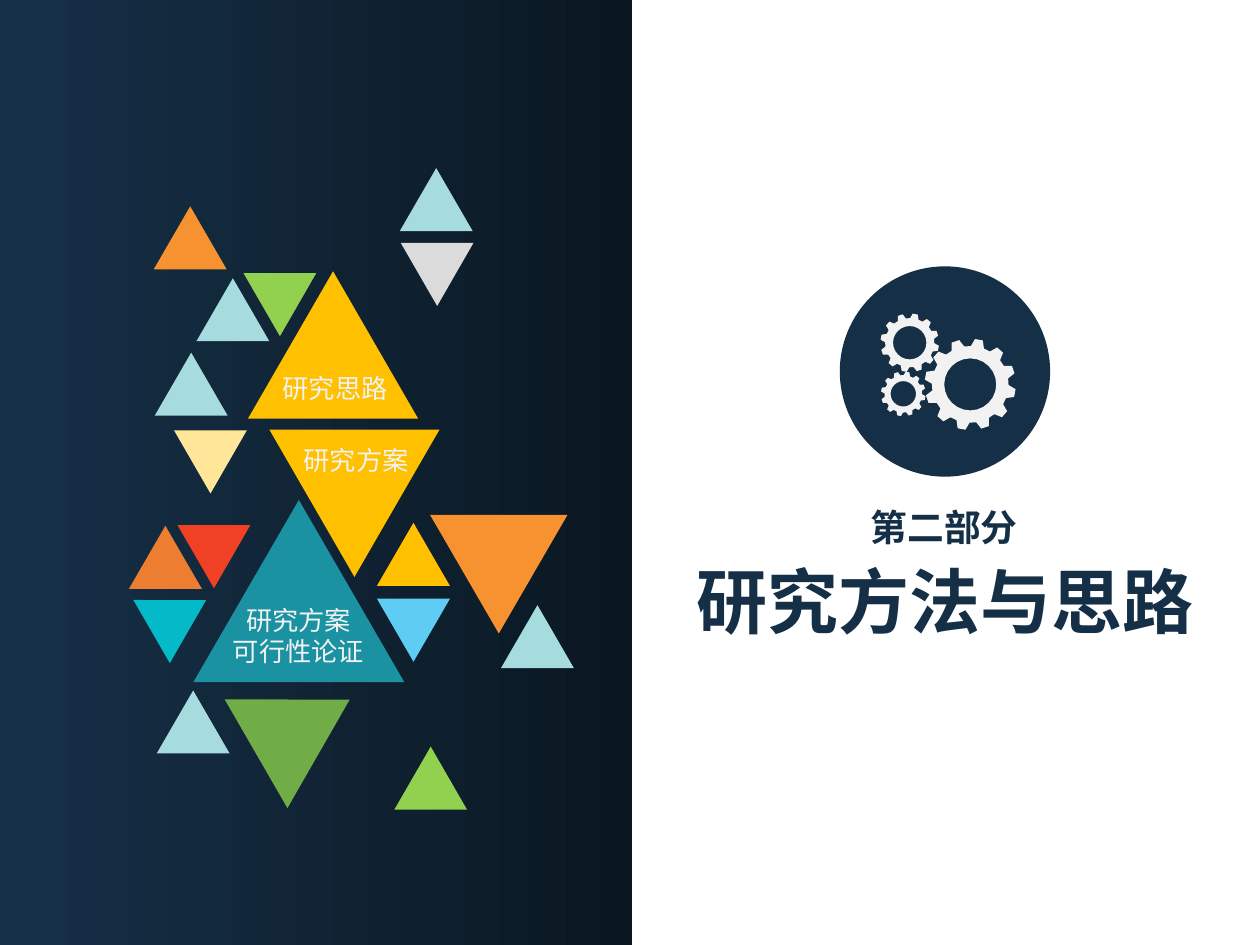
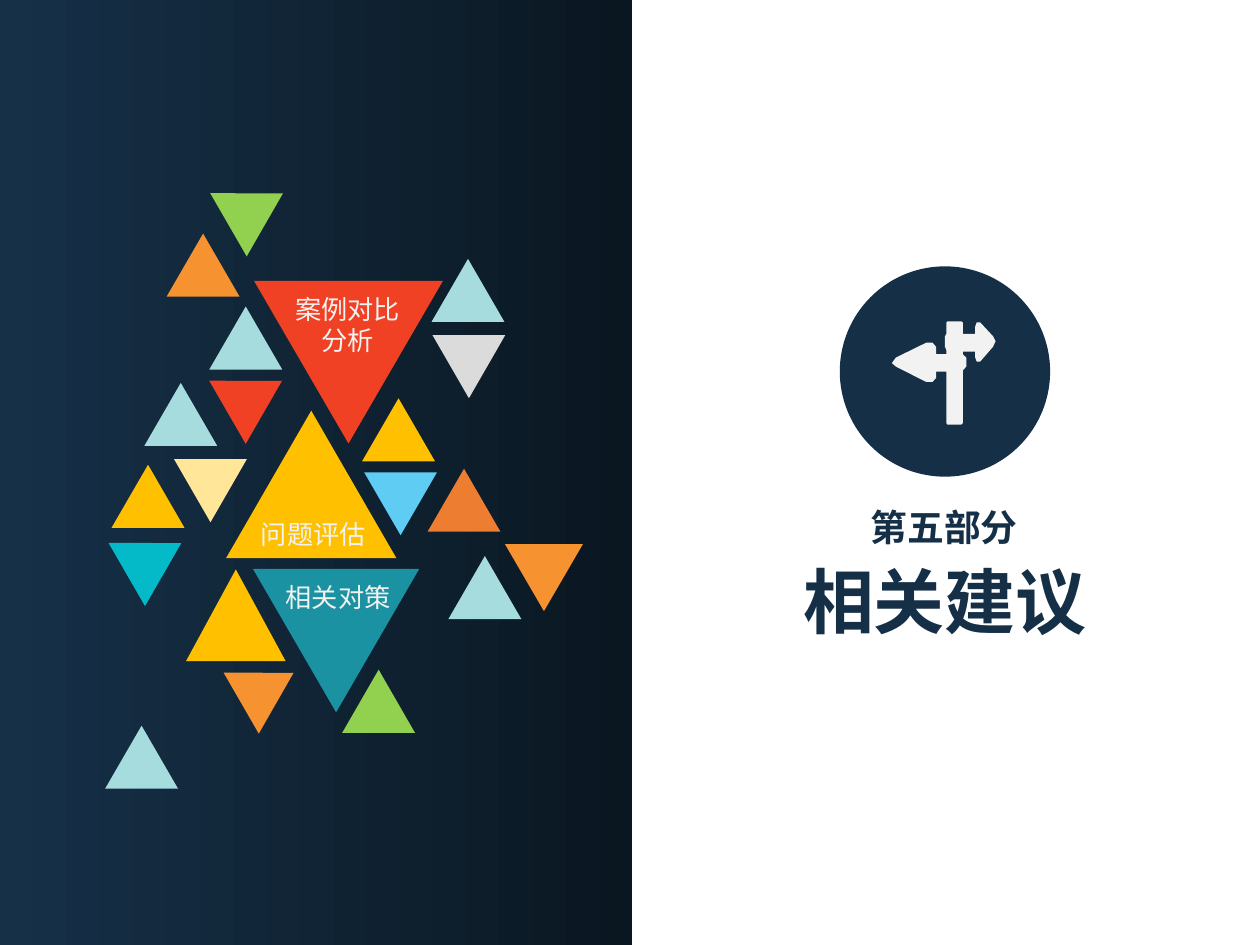
import math

import lxml.etree
import pptx
import pptx.dml.color
import pptx.enum.shapes
import pptx.enum.text
import pptx.oxml.ns
import pptx.util

Cm = pptx.util.Cm
Pt = pptx.util.Pt
RGB = pptx.dml.color.RGBColor.from_string
SHAPE = pptx.enum.shapes.MSO_SHAPE
ALIGN = pptx.enum.text.PP_ALIGN

FONT = "Noto Sans CJK SC"
COLOURS = {
    "night": "163048", "black": "0A1721", "navy": "152F47", "pale": "F2F2F2",
    "mist": "A7DCDE", "cream": "FFE699", "gold": "FFC000", "teal": "1A92A2",
    "rust": "ED7D31", "orange": "F69230", "lime": "92D050", "grey": "DBDBDB",
    "cyan": "05BAC8", "sky": "5ECCF3", "red": "F14124", "green": "70AD47",
}
TEXT_STYLES = {
    "title": {"size": Pt(40.5), "bold": True, "colour": "navy"},
    "part": {"size": Pt(21), "bold": True, "colour": "navy"},
    "label": {"size": Pt(15), "bold": False, "colour": "pale"},
}
FRAME_FORMAT = {
    "word_wrap": False,
    "auto_size": pptx.enum.text.MSO_AUTO_SIZE.SHAPE_TO_FIT_TEXT,
    "vertical_anchor": pptx.enum.text.MSO_ANCHOR.TOP,
}
SMALL = (1.47, 1.27)    # usual triangle, width and height in cm
MEDIUM = (3.43, 2.97)
ICON_CENTRE = (19.05, 7.49)
ICON_SIZE = 4.24


def paint(shape, colour):
    """Give a shape one flat colour, with no line and no shadow."""
    shape.shadow.inherit = False
    shape.line.fill.background()
    shape.fill.solid()
    shape.fill.fore_color.rgb = RGB(COLOURS[colour])


def write(slide, left, top, width, height, lines, style, alignment=ALIGN.CENTER):
    """Add lines of text in one of the shared styles."""
    box = slide.shapes.add_textbox(Cm(left), Cm(top), Cm(width), Cm(height))
    for attribute, value in FRAME_FORMAT.items():
        setattr(box.text_frame, attribute, value)
    look = TEXT_STYLES[style]
    for number, line in enumerate(lines):
        paragraph = box.text_frame.add_paragraph() if number else box.text_frame.paragraphs[0]
        paragraph.alignment = alignment
        paragraph.line_spacing = Pt(look["size"].pt * 1.18)
        run = paragraph.add_run()
        run.text = line
        for attribute, value in {"name": FONT, "size": look["size"], "bold": look["bold"]}.items():
            setattr(run.font, attribute, value)
        run.font.color.rgb = RGB(COLOURS[look["colour"]])
        east_asian = lxml.etree.SubElement(run._r.get_or_add_rPr(), pptx.oxml.ns.qn("a:ea"))
        east_asian.set("typeface", FONT)


# Gears: twelve teeth around a round hole (centre x, centre y, radius)
gear_outlines = []
tooth_profile = [(-10, 0.84), (-5, 1), (5, 1), (10, 0.84)]    # degrees, share of radius
rim_polar = [(11 + 30 * tooth + turn, reach)
             for tooth in range(12) for turn, reach in tooth_profile]
hole_polar = [(15 * step, 0.57) for step in range(24)]
for gear_x, gear_y, radius in [(19.56, 7.75, 0.92), (18.34, 6.91, 0.59), (18.21, 7.94, 0.45)]:
    gear_outlines.append([
        [(gear_x + radius * reach * math.cos(math.radians(angle)),
          gear_y + radius * reach * math.sin(math.radians(angle))) for angle, reach in polar]
        for polar in (rim_polar, hole_polar)])

# Signpost with one arm to each side
signpost = [
    (20.02, 6.78), (19.76, 6.5), (19.69, 6.5), (19.66, 6.58), (19.66, 6.73), (19.41, 6.73),
    (19.41, 6.5), (19.38, 6.48), (19.1, 6.48), (19.08, 6.5), (19.08, 6.73), (19.05, 6.78),
    (19.05, 6.99), (19.08, 7.06), (19.08, 7.14), (18.87, 7.14), (18.87, 6.99), (18.8, 6.91),
    (18.67, 6.91), (18.06, 7.21), (17.98, 7.32), (18.06, 7.39), (18.67, 7.7), (18.8, 7.7),
    (18.87, 7.62), (18.87, 7.49), (19.08, 7.49), (19.08, 8.53), (19.1, 8.56), (19.38, 8.56),
    (19.41, 8.53), (19.41, 7.47), (19.48, 7.39), (19.48, 7.21), (19.41, 7.14), (19.41, 7.09),
    (19.66, 7.09), (19.66, 7.21), (19.69, 7.29), (19.76, 7.29), (20.02, 6.99), (20.07, 6.88),
]

# Sections: triangles are (left, top, colour, rotation, size);
# labels are (left, top, width, height, lines)
sections = [
    {
        "part": "第二部分", "title": "研究方法与思路", "title_span": (13.74, 10.62),
        "icon": gear_outlines,
        "triangles": [
            (3.12, 7.11, "mist", 0, SMALL), (8.06, 3.39, "mist", 0, SMALL),
            (3.69, 8.36, "cream", 60, SMALL), (5.43, 8.66, "gold", 180, MEDIUM),
            (3.9, 10.08, "teal", 0, (4.25, 3.67)), (3.16, 13.92, "mist", 0, SMALL),
            (2.6, 10.6, "rust", 0, SMALL), (3.1, 4.16, "orange", 0, SMALL),
            (3.96, 5.61, "mist", 0, SMALL), (5.09, 5.19, "lime", 60, SMALL),
            (8.26, 4.58, "grey", 60, SMALL), (2.87, 11.78, "cyan", 60, SMALL),
            (8.67, 10.38, "orange", 180, (2.77, 2.39)), (7.6, 10.54, "gold", 0, SMALL),
            (7.6, 12.07, "sky", 180, SMALL), (3.76, 10.27, "red", 60, SMALL),
            (4.84, 13.56, "green", 60, (2.53, 2.18)), (10.1, 12.2, "mist", 0, SMALL),
            (5, 5.47, "gold", 0, MEDIUM), (8.13, 15.37, "lime", 120, SMALL),
        ],
        "labels": [
            (5.45, 7.39, 2.64, 0.89, ["研究思路"]),
            (5.87, 8.84, 2.64, 0.89, ["研究方案"]),
            (4.43, 12.06, 3.18, 1.55, ["研究方案", "可行性论证"]),
        ],
    },
    {
        "part": "第五部分", "title": "相关建议", "title_span": (15.91, 6.28),
        "icon": [[signpost]],
        "triangles": [
            (2.91, 7.72, "mist", 0, SMALL), (8.7, 5.22, "mist", 0, SMALL),
            (3.69, 8.94, "cream", 60, SMALL), (4.56, 8.28, "gold", 0, MEDIUM),
            (5.1, 11.47, "teal", 180, (3.35, 2.89)), (2.12, 14.63, "mist", 0, SMALL),
            (8.62, 9.45, "rust", 0, SMALL), (3.36, 4.71, "orange", 0, SMALL),
            (4.22, 6.18, "mist", 0, SMALL), (4.42, 3.58, "lime", 60, SMALL),
            (8.9, 6.44, "grey", 60, SMALL), (2.37, 10.63, "cyan", 60, SMALL),
            (10.18, 10.97, "orange", 180, (1.57, 1.35)), (7.3, 8.03, "gold", 0, SMALL),
            (7.34, 9.52, "sky", 180, SMALL), (4.4, 7.36, "red", 60, SMALL),
            (4.68, 13.26, "orange", 60, (1.42, 1.22)), (9.04, 11.21, "mist", 0, SMALL),
            (5.12, 5.66, "red", 180, (3.81, 3.28)), (7.08, 13.82, "lime", 120, SMALL),
            (2.25, 9.37, "gold", 0, SMALL), (3.75, 11.48, "gold", 0, (2.01, 1.85)),
        ],
        "labels": [
            (5.69, 5.79, 2.64, 1.55, ["案例对比", "分析"]),
            (5.01, 10.34, 2.64, 0.89, ["问题评估"]),
            (5.51, 11.61, 2.64, 0.89, ["相关对策"]),
        ],
    },
]

deck = pptx.Presentation()
deck.slide_width, deck.slide_height = Cm(25.4), Cm(19.05)
slides = [deck.slides.add_slide(deck.slide_layouts[6]) for section in sections]

# Dark panel on the left, moved to the slide master so that every slide shows it
panel = slides[0].shapes.add_shape(SHAPE.RECTANGLE, 0, 0, Cm(12.75), deck.slide_height)
paint(panel, "night")
panel.fill.gradient()
panel.fill.gradient_angle = 0
for stop, colour, position in zip(panel.fill.gradient_stops, ["night", "black"], [0, 1]):
    stop.color.rgb = RGB(COLOURS[colour])
    stop.position = position
deck.slide_master.shapes._spTree.insert(2, panel._element)

for slide, section in zip(slides, sections):
    # Section title
    title_left, title_width = section["title_span"]
    write(slide, title_left, 11.15, title_width, 1.98, [section["title"]], "title")
    write(slide, 17.28, 10.06, 3.51, 1.14, [section["part"]], "part")

    # Round icon
    icon = slide.shapes.add_group_shape()
    disc = icon.shapes.add_shape(SHAPE.OVAL, Cm(ICON_CENTRE[0] - ICON_SIZE / 2),
                                 Cm(ICON_CENTRE[1] - ICON_SIZE / 2), Cm(ICON_SIZE), Cm(ICON_SIZE))
    paint(disc, "navy")
    for outlines in section["icon"]:
        first, *inner = [[(Cm(x), Cm(y)) for x, y in outline] for outline in outlines]
        pen = icon.shapes.build_freeform(*first[0])
        pen.add_line_segments(first[1:], close=True)
        for outline in inner:
            pen.move_to(*outline[0])
            pen.add_line_segments(outline[1:], close=True)
        paint(pen.convert_to_shape(), "pale")

    # Triangle mosaic
    for left, top, colour, rotation, (width, height) in section["triangles"]:
        triangle = slide.shapes.add_shape(SHAPE.ISOSCELES_TRIANGLE, Cm(left), Cm(top),
                                          Cm(width), Cm(height))
        triangle.rotation = rotation
        paint(triangle, colour)

    # Topics on the large triangles
    for left, top, width, height, lines in section["labels"]:
        alignment = ALIGN.CENTER if len(lines) > 1 else ALIGN.LEFT
        write(slide, left, top, width, height, lines, "label", alignment)

deck.save("out.pptx")
